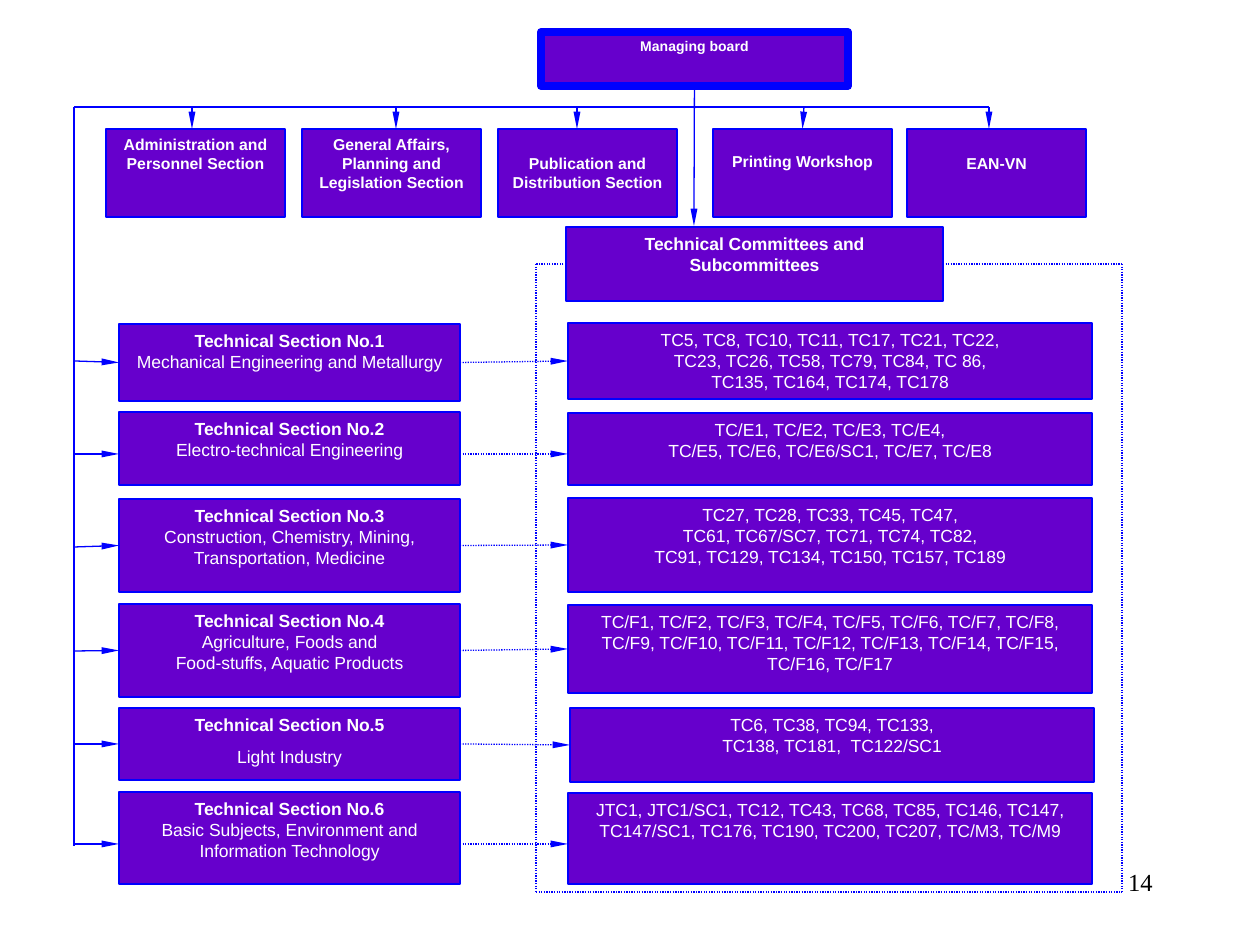
from lxml import etree
from pptx import Presentation
from pptx.dml.color import RGBColor
from pptx.enum.dml import MSO_LINE
from pptx.enum.shapes import MSO_CONNECTOR, MSO_SHAPE
from pptx.enum.text import MSO_ANCHOR, PP_ALIGN
from pptx.oxml.ns import qn
from pptx.util import Pt

PX = 7257  # EMU per px, 126 px to the inch
RECTANGLE = MSO_SHAPE.RECTANGLE
STRAIGHT = MSO_CONNECTOR.STRAIGHT
DOTTED = MSO_LINE.ROUND_DOT
TOP, LEFT, BOTTOM, RIGHT = range(4)
PURPLE = RGBColor(0x66, 0x00, 0xCC)
BLUE = RGBColor(0x00, 0x00, 0xFF)
WHITE = RGBColor(0xFF, 0xFF, 0xFF)
BLACK = RGBColor(0x00, 0x00, 0x00)

presentation = Presentation()
presentation.slide_width = 1260 * PX
presentation.slide_height = 945 * PX
slide = presentation.slides.add_slide(presentation.slide_layouts[6])


def add_box(left, top, width, height, lines, size, bold_lines=0, inset=6, border=0.75):
    shape = slide.shapes.add_shape(RECTANGLE, left * PX, top * PX, width * PX, height * PX)
    shape.shadow.inherit = False
    shape.fill.solid()
    shape.fill.fore_color.rgb = PURPLE
    shape.line.color.rgb = BLUE
    shape.line.width = Pt(border)
    frame = shape.text_frame
    frame.word_wrap = True
    frame.vertical_anchor = MSO_ANCHOR.TOP
    frame.margin_top = inset * PX
    frame.text = "\n".join(lines)
    for index, paragraph in enumerate(frame.paragraphs):
        paragraph.alignment = PP_ALIGN.CENTER
        font = paragraph.runs[0].font
        font.name = "Arial"
        font.size = Pt(size)
        font.bold = index < bold_lines
        font.color.rgb = WHITE
    return shape


def add_line(x1, y1, x2, y2, arrow=False, dotted=False):
    line = slide.shapes.add_connector(STRAIGHT, x1 * PX, y1 * PX, x2 * PX, y2 * PX)
    line.line.color.rgb = BLUE
    line.line.width = Pt(0.75)
    if dotted:
        line.line.dash_style = DOTTED
    if arrow:
        etree.SubElement(line.line._get_or_add_ln(), qn("a:tailEnd"),
                         type="triangle", w="sm", len="lg")
    etree.SubElement(line._element.spPr, qn("a:effectLst"))
    return line


# Managing board and committees heading
board = add_box(541, 32, 307, 54, ["Managing board"], 8, 1, border=4.5)
committees = add_box(566, 227, 377, 74, ["Technical Committees and Subcommittees"], 10, 1)
add_line(694, 86, 694, 226, arrow=True).begin_connect(board, BOTTOM)

# Trunk lines
add_line(74, 107, 989, 107)
add_line(74, 107, 74, 846)

# Dotted frame around the committees
add_line(566, 264, 536, 264, dotted=True).begin_connect(committees, LEFT)
add_line(943, 264, 1122, 264, dotted=True).begin_connect(committees, RIGHT)
add_line(536, 264, 536, 892, dotted=True)
add_line(1122, 264, 1122, 892, dotted=True)
add_line(536, 892, 1122, 892, dotted=True)

# Administrative sections: left, arrow x, top inset, name
OFFICES = [
    (106, 192, 6, "Administration and Personnel Section"),
    (302, 396, 6, "General Affairs, Planning and Legislation Section"),
    (498, 577, 25, "Publication and Distribution Section"),
    (713, 804, 23, "Printing Workshop"),
    (907, 989, 25, "EAN-VN"),
]
for left, arrow_x, inset, name in OFFICES:
    office = add_box(left, 129, 179, 88, [name], 9, 1, inset)
    arrow = add_line(arrow_x, 107, arrow_x, 129, arrow=True)
    if abs(left + 179 / 2 - arrow_x) <= 3:
        arrow.end_connect(office, TOP)

# Technical sections: (top, height), arrow y, names,
# then committee (left, top, height) and lines
SECTIONS = [
    ((324, 77), 361, ["Mechanical Engineering and Metallurgy"],
     (568, 323, 76), ["TC5, TC8, TC10, TC11, TC17, TC21, TC22,",
                      "TC23, TC26, TC58, TC79, TC84, TC 86,",
                      "TC135, TC164, TC174, TC178"]),
    ((412, 73), 454, ["Electro-technical Engineering"],
     (568, 413, 72), ["TC/E1, TC/E2, TC/E3, TC/E4,",
                      "TC/E5, TC/E6, TC/E6/SC1, TC/E7, TC/E8"]),
    ((499, 93), 547, ["Construction, Chemistry, Mining, Transportation, Medicine"],
     (568, 498, 94), ["TC27, TC28, TC33, TC45, TC47,",
                      "TC61, TC67/SC7, TC71, TC74, TC82,",
                      "TC91, TC129, TC134, TC150, TC157, TC189"]),
    ((604, 93), 651, ["Agriculture, Foods and", "Food-stuffs, Aquatic Products"],
     (568, 605, 88), ["TC/F1, TC/F2, TC/F3, TC/F4, TC/F5, TC/F6, TC/F7, TC/F8, "
                      "TC/F9, TC/F10, TC/F11, TC/F12, TC/F13, TC/F14, TC/F15, "
                      "TC/F16, TC/F17"]),
    ((708, 72), 744, ["Light Industry"],
     (570, 708, 74), ["TC6, TC38, TC94, TC133,", "TC138, TC181,  TC122/SC1"]),
    ((792, 92), 844, ["Basic Subjects, Environment and Information Technology"],
     (568, 793, 91), ["JTC1, JTC1/SC1, TC12, TC43, TC68, TC85, TC146, TC147, "
                      "TC147/SC1, TC176, TC190, TC200, TC207, TC/M3, TC/M9"]),
]
for number, section_row in enumerate(SECTIONS, start=1):
    (top, height), arrow_y, names, (tc_left, tc_top, tc_height), tc_lines = section_row
    section = add_box(119, top, 341, height, [f"Technical Section No.{number}"] + names, 10, 1)
    if number == 5:
        section.text_frame.paragraphs[1].space_before = Pt(6)
    committee = add_box(tc_left, tc_top, 524, tc_height, tc_lines, 10)
    branch = add_line(75, arrow_y, 119, arrow_y, arrow=True)
    link = add_line(460, arrow_y, tc_left, arrow_y, arrow=True, dotted=True)
    if abs(top + height / 2 - arrow_y) <= 3:
        branch.end_connect(section, LEFT)
        link.begin_connect(section, RIGHT)
        link.end_connect(committee, LEFT)

# Page number
page_number = slide.shapes.add_textbox(903, 861, 262, 63)
page_number.left, page_number.top = 903 * PX, 861 * PX
page_number.width, page_number.height = 262 * PX, 63 * PX
page_number.text_frame.word_wrap = True
page_number.text_frame.text = "14"
paragraph = page_number.text_frame.paragraphs[0]
paragraph.alignment = PP_ALIGN.RIGHT
font = paragraph.runs[0].font
font.name = "Times New Roman"
font.size = Pt(14)
font.color.rgb = BLACK

presentation.save("out.pptx")
